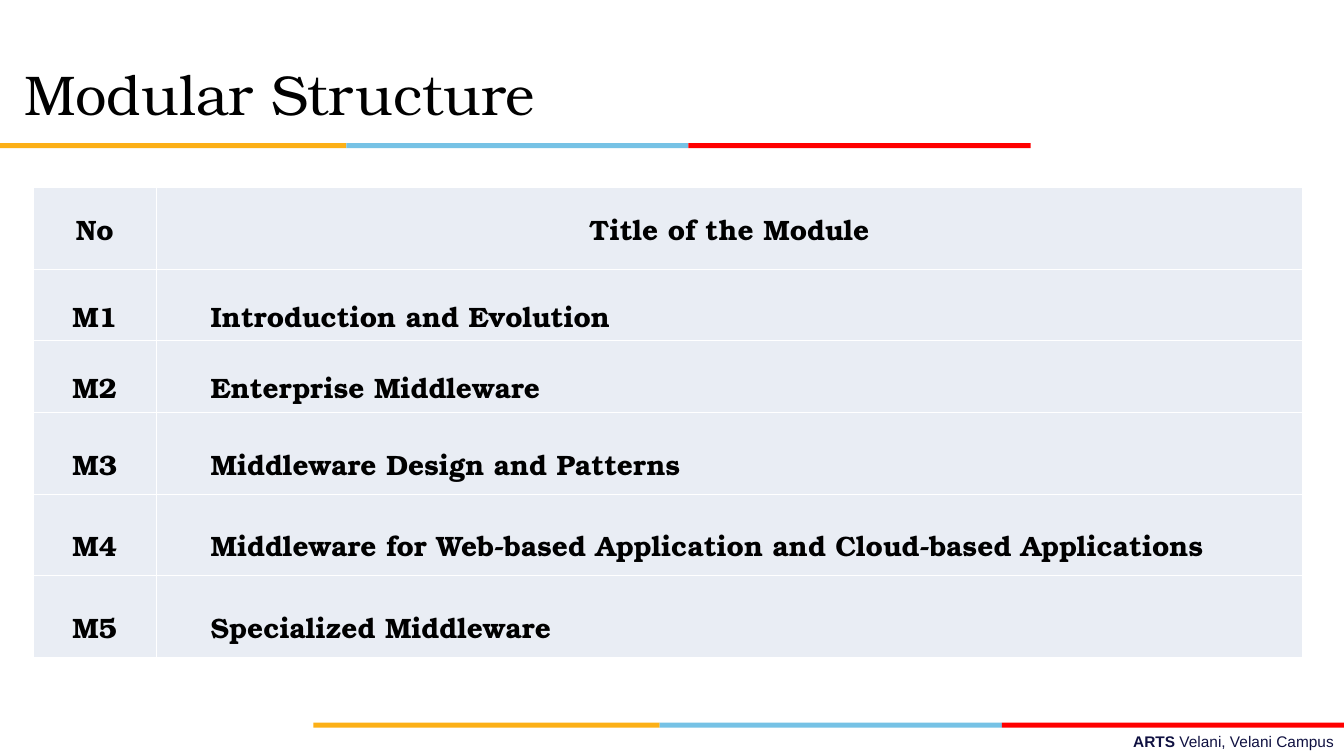
from dataclasses import dataclass

from lxml.etree import SubElement
from pptx import Presentation
from pptx.dml.color import RGBColor as RGB
from pptx.enum.shapes import MSO_SHAPE as Preset
from pptx.enum.text import MSO_ANCHOR as Anchor, PP_ALIGN as Align
from pptx.oxml.ns import qn
from pptx.util import Inches, Pt


@dataclass(frozen=True)
class Theme:
    serif: str = "TeX Gyre Bonum"
    sans: str = "Arial"
    title_size: float = 40
    table_size: float = 20
    footer_size: float = 11
    text: str = "000000"
    footer: str = "101141"
    cell: str = "E9EDF4"
    border: str = "FFFFFF"
    border_width: float = 0.45
    stripe: tuple = ("FCB017", "76C2E5", "FF0000")


@dataclass(frozen=True)
class Box:
    left: float
    top: float
    width: float
    height: float

    def emu(self):
        return [Inches(v) for v in (self.left, self.top, self.width, self.height)]


THEME = Theme()
WIDTH, HEIGHT = 13.34, 7.5
STRIPE_WIDTH, STRIPE_HEIGHT = 10.23, 0.05
STRIPE_SHARES = (0.336, 0.332, 0.332)
COLUMN_SHARES = (0.097, 0.903)
ROW_HEIGHTS = (0.81, 0.71, 0.71, 0.81, 0.81, 0.81)
HEADER = ("No", "Title of the Module")
MODULES = (
    "Introduction and Evolution",
    "Enterprise Middleware",
    "Middleware Design and Patterns",
    "Middleware for Web-based Application and Cloud-based Applications",
    "Specialized Middleware",
)


def set_font(font, name, size, color, bold=False):
    font.name, font.size, font.bold = name, Pt(size), bold
    font.color.rgb = RGB.from_string(color)


def add_stripe(slide, box):
    left = box.left
    for share, color in zip(STRIPE_SHARES, THEME.stripe):
        part = Box(left, box.top, box.width * share, box.height)
        bar = slide.shapes.add_shape(Preset.RECTANGLE, *part.emu())
        bar.shadow.inherit = False
        bar.fill.solid()
        bar.fill.fore_color.rgb = RGB.from_string(color)
        bar.line.fill.background()
        left += part.width


def set_title(slide, box, text):
    title = slide.shapes.title
    title.left, title.top, title.width, title.height = box.emu()
    frame = title.text_frame
    frame.text = text
    frame.vertical_anchor = Anchor.MIDDLE
    frame.margin_left = Inches(0.24)
    para = frame.paragraphs[0]
    para.alignment = Align.LEFT
    set_font(para.font, THEME.serif, THEME.title_size, THEME.text)


def add_footer(slide, box):
    frame = slide.shapes.add_textbox(*box.emu()).text_frame
    frame.word_wrap = True
    para = frame.paragraphs[0]
    para.alignment = Align.RIGHT
    for text, bold in (("ARTS ", True), ("Velani, Velani Campus", False)):
        span = para.add_run()
        span.text = text
        set_font(span.font, THEME.sans, THEME.footer_size, THEME.footer, bold)


def set_borders(cell):
    properties = cell._tc.get_or_add_tcPr()
    for index, side in enumerate(("lnL", "lnR", "lnT", "lnB")):
        line = SubElement(properties, qn(f"a:{side}"), w=str(Pt(THEME.border_width)))
        fill = SubElement(line, qn("a:solidFill"))
        SubElement(fill, qn("a:srgbClr"), val=THEME.border)
        properties.insert(index, line)  # borders must precede the fill


def fill_cell(cell, text, is_header, is_name):
    cell.text = text
    cell.vertical_anchor = Anchor.MIDDLE
    indented = is_name and not is_header
    cell.margin_left = Inches(0.54 if indented else 0.04)
    cell.margin_right = Inches(0.04)
    cell.fill.solid()
    cell.fill.fore_color.rgb = RGB.from_string(THEME.cell)
    set_borders(cell)
    para = cell.text_frame.paragraphs[0]
    para.alignment = Align.LEFT if indented else Align.CENTER
    para.line_spacing = 1.0 if is_header else 1.5
    set_font(para.font, THEME.serif, THEME.table_size, THEME.text, bold=True)


def add_module_table(slide, box):
    rows = [HEADER] + [(f"M{n}", name) for n, name in enumerate(MODULES, 1)]
    table = slide.shapes.add_table(len(rows), len(HEADER), *box.emu()).table
    table.first_row = table.horz_banding = False
    for column, share in zip(table.columns, COLUMN_SHARES):
        column.width = Inches(box.width * share)
    for row, height in zip(table.rows, ROW_HEIGHTS):
        row.height = Inches(height)
    for r, texts in enumerate(rows):
        for c, text in enumerate(texts):
            fill_cell(table.cell(r, c), text, is_header=r == 0, is_name=c == 1)


def add_module_slide(deck):
    slide = deck.slides.add_slide(deck.slide_layouts[5])
    add_footer(slide, Box(WIDTH - 8.56, 7.21, 8.56, 0.29))
    add_stripe(slide, Box(WIDTH - STRIPE_WIDTH, 7.17, STRIPE_WIDTH, STRIPE_HEIGHT))
    add_stripe(slide, Box(0, 1.42, STRIPE_WIDTH, STRIPE_HEIGHT))
    set_title(slide, Box(0, 0.46, 8.79, 0.93), "Modular Structure")
    add_module_table(slide, Box(0.33, 1.86, 12.6, sum(ROW_HEIGHTS)))


def main():
    deck = Presentation()
    deck.slide_width, deck.slide_height = Inches(WIDTH), Inches(HEIGHT)
    add_module_slide(deck)
    deck.save("out.pptx")


if __name__ == "__main__":
    main()
